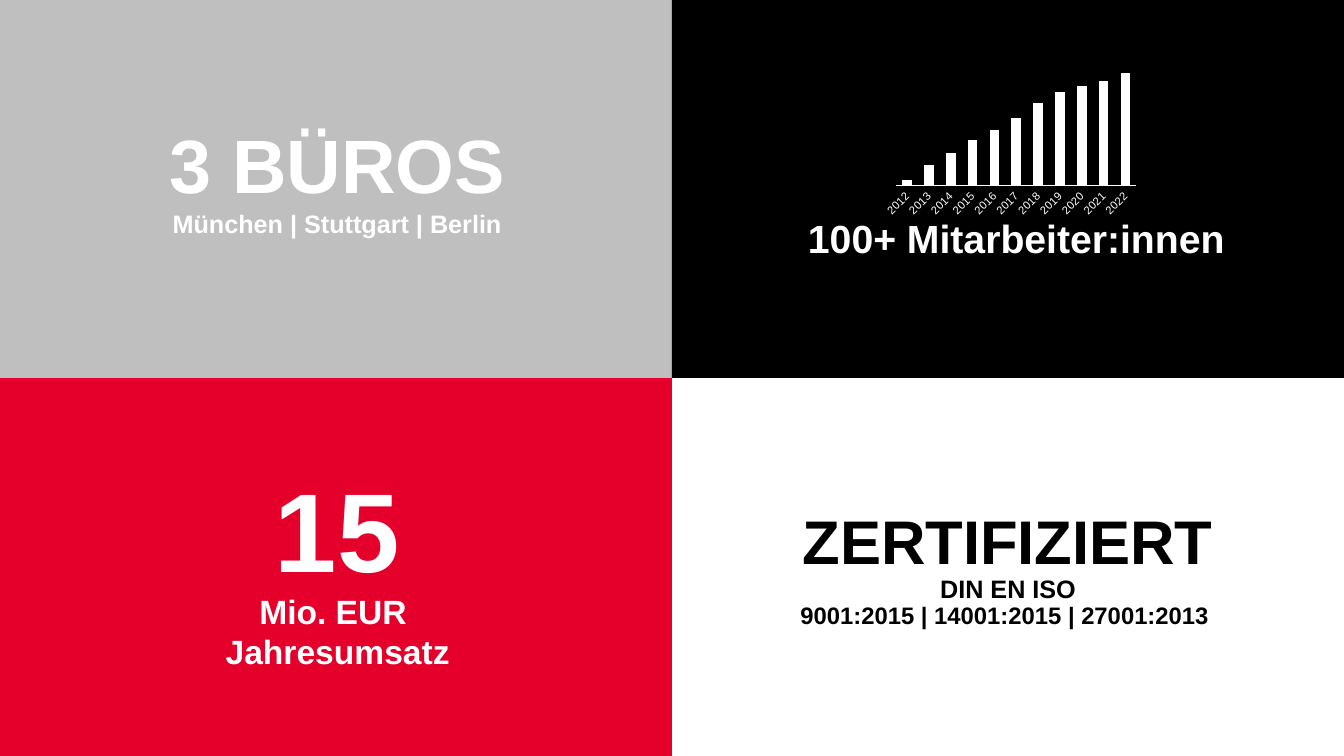
import pptx
import pptx.util
import pptx.chart.data
import pptx.dml.color
import pptx.enum.chart
import pptx.enum.shapes
import pptx.enum.text
import pptx.oxml
import pptx.oxml.ns
from pptx.util import Cm

WIDTH, HEIGHT = 33.87, 19.05
FONT = "Arial"
BLACK, WHITE, RED, GREY = "000000", "FFFFFF", "E4002B", "BFBFBF"
STAFF = {2012: 5, 2013: 18, 2014: 29, 2015: 41, 2016: 50, 2017: 60,
         2018: 74, 2019: 83, 2020: 89, 2021: 93, 2022: 100}
PLOT_LAYOUT = {"x": 0.07, "y": 0.07, "w": 0.92, "h": 0.71}


def color(value):
    return pptx.dml.color.RGBColor.from_string(value)


def set_fill(target, value):
    target.fill.solid()
    target.fill.fore_color.rgb = color(value)


def add_panel(page, left, top, width, height, fill):
    panel = page.shapes.add_shape(
        pptx.enum.shapes.MSO_SHAPE.RECTANGLE, Cm(left), Cm(top), Cm(width), Cm(height))
    panel.shadow.inherit = False
    set_fill(panel, fill)
    panel.line.fill.background()


def add_text(page, left, top, width, height, lines, ink, space_before=0):
    box = page.shapes.add_textbox(Cm(left), Cm(top), Cm(width), Cm(height))
    frame = box.text_frame
    frame.word_wrap = True
    frame.auto_size = pptx.enum.text.MSO_AUTO_SIZE.SHAPE_TO_FIT_TEXT
    frame.margin_left = frame.margin_right = frame.margin_bottom = 0
    frame.margin_top = Cm(0.05)
    frame.text = "\n".join(text for text, size, spacing in lines)
    frame.paragraphs[0].space_before = pptx.util.Pt(space_before)
    for para, (text, size, spacing) in zip(frame.paragraphs, lines):
        para.alignment = pptx.enum.text.PP_ALIGN.CENTER
        para.line_spacing = spacing
        for span in para.runs:
            span.font.name = FONT
            span.font.size = pptx.util.Pt(size)
            span.font.bold = True
            span.font.color.rgb = color(ink)


def place_plot(chart):
    plot_area = chart.plots[0]._element.getparent()
    for old in plot_area.findall(pptx.oxml.ns.qn("c:layout")):
        plot_area.remove(old)
    sizes = "".join(f'<c:{key} val="{value}"/>' for key, value in PLOT_LAYOUT.items())
    plot_area.insert(0, pptx.oxml.parse_xml(
        f'<c:layout {pptx.oxml.ns.nsdecls("c")}><c:manualLayout>'
        '<c:layoutTarget val="inner"/><c:xMode val="edge"/><c:yMode val="edge"/>'
        f'{sizes}</c:manualLayout></c:layout>'))


def add_staff_chart(page, left, top, width, height):
    data = pptx.chart.data.CategoryChartData()
    data.categories = [str(year) for year in STAFF]
    data.add_series("Series 1", STAFF.values())
    chart = page.shapes.add_chart(
        pptx.enum.chart.XL_CHART_TYPE.COLUMN_CLUSTERED,
        Cm(left), Cm(top), Cm(width), Cm(height), data).chart
    chart.has_legend = chart.has_title = False
    chart.font.name = FONT
    chart.font.size = pptx.util.Pt(10)
    chart.font.color.rgb = color(BLACK)

    plot = chart.plots[0]
    plot.vary_by_categories = False
    plot.gap_width = 126
    plot.overlap = 49
    set_fill(plot.series[0].format, WHITE)

    values = chart.value_axis
    values.visible = values.has_major_gridlines = False
    values.minimum_scale, values.maximum_scale = 0, 100

    years = chart.category_axis
    years.major_tick_mark = pptx.enum.chart.XL_TICK_MARK.NONE
    years.format.line.color.rgb = color(WHITE)
    years.format.line.width = pptx.util.Pt(0.75)
    labels = years.tick_labels.font
    labels.name = FONT
    labels.size = pptx.util.Pt(8)
    labels.color.rgb = color(WHITE)
    years._element.find(
        f'{pptx.oxml.ns.qn("c:txPr")}/{pptx.oxml.ns.qn("a:bodyPr")}').set("rot", "-2700000")
    place_plot(chart)


def add_offices(page, left, top, width, height):
    add_panel(page, left, top, width, height, GREY)
    add_text(page, left + 0.03, top + 2.92, width, 3.68,
             [("3 BÜROS", 54, 1), ("München | Stuttgart | Berlin", 18, 1)], WHITE, 1.5)


def add_staff(page, left, top, width, height):
    add_panel(page, left, top, width, height, BLACK)
    add_staff_chart(page, left + 5.19, top + 1.57, 6.58, 3.99)
    add_text(page, left + 3.33, top + 5.36, 10.69, 1.24,
             [("100+ Mitarbeiter:innen", 28, 1)], WHITE)


def add_revenue(page, left, top, width, height):
    add_panel(page, left, top, width, height, RED)
    add_text(page, left + 0.03, top + 2.03, width, 4.04, [("15", 80, 1)], WHITE, 1.5)
    add_text(page, left + 2.54, top + 5.31, 11.94, 2.31,
             [("Mio. EUR \vJahresumsatz", 24, 1)], WHITE)


def add_certificates(page, left, top, width, height):
    add_text(page, left, top + 3.1, width, 3.33,
             [("ZERTIFIZIERT", 44, 1), ("DIN EN ISO", 18, 0.9),
              ("9001:2015 | 14001:2015 | 27001:2013 ", 17, 0.9)], BLACK, 1.5)


def main():
    deck = pptx.Presentation()
    deck.slide_width, deck.slide_height = Cm(WIDTH), Cm(HEIGHT)
    page = deck.slides.add_slide(deck.slide_layouts[6])
    half_width, half_height = WIDTH / 2, HEIGHT / 2
    quadrants = [add_offices, add_staff, add_revenue, add_certificates]
    for index, add_quadrant in enumerate(quadrants):
        row, column = divmod(index, 2)
        add_quadrant(page, column * half_width, row * half_height, half_width, half_height)
    deck.save("out.pptx")


if __name__ == "__main__":
    main()
